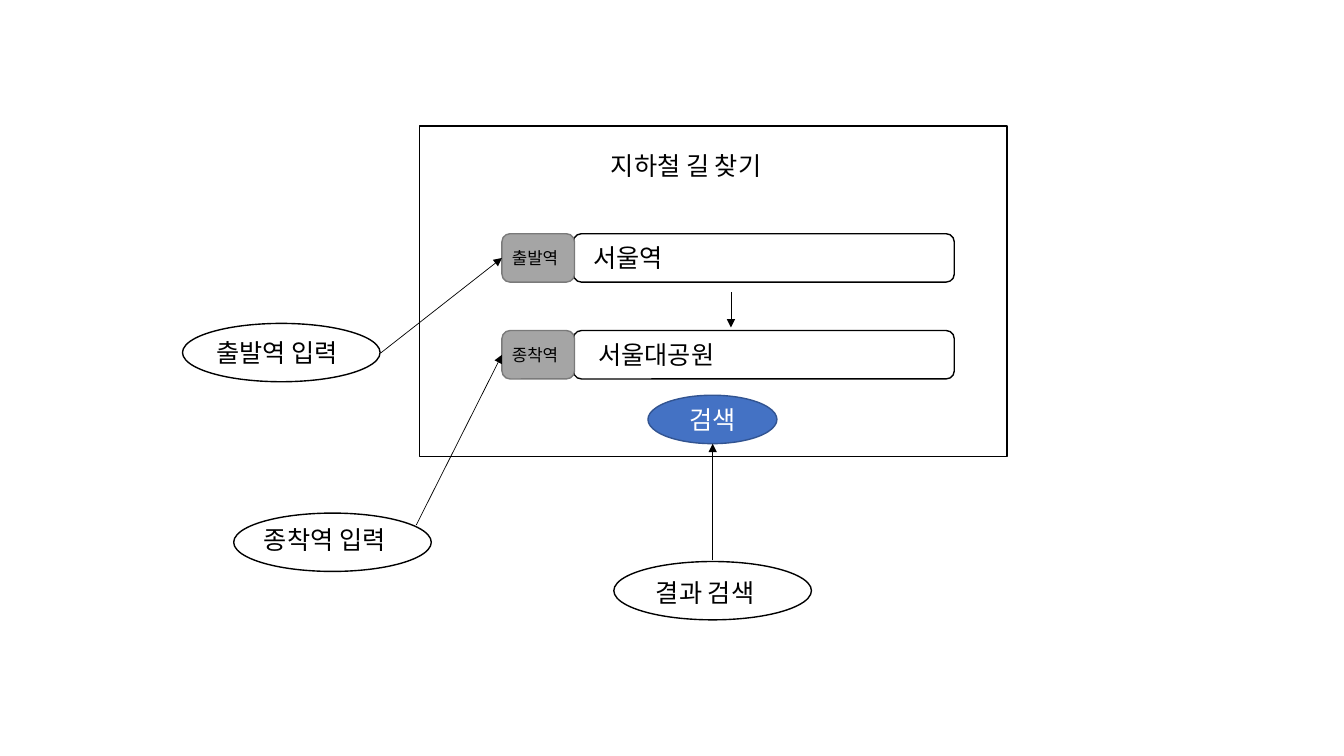
from pptx import Presentation
from pptx.dml.color import RGBColor
from pptx.enum.shapes import MSO_CONNECTOR as Link, MSO_SHAPE as Kind
from pptx.enum.text import MSO_ANCHOR as Anchor, PP_ALIGN as Align
from pptx.oxml.ns import qn
from pptx.util import Cm, Pt
from lxml.etree import SubElement

FONT = "Noto Sans CJK KR"
BLACK = RGBColor(0x00, 0x00, 0x00)
WHITE = RGBColor(0xFF, 0xFF, 0xFF)
GRAY = RGBColor(0xA5, 0xA5, 0xA5)
EDGE = RGBColor(0x7A, 0x7A, 0x7A)
BLUE = RGBColor(0x44, 0x72, 0xC4)
NAVY = RGBColor(0x32, 0x54, 0x91)


def place(item, box):
    """Move and size an item, in centimetres."""
    item.left, item.top, item.width, item.height = map(Cm, box)


def write(frame, text, size=18, color=BLACK, align=Align.LEFT, anchor=Anchor.TOP):
    """Put one styled line of text in a frame."""
    frame.text = text
    frame.word_wrap = True
    frame.vertical_anchor = anchor
    para = frame.paragraphs[0]
    para.alignment = align
    font = para.font
    font.name, font.size = FONT, Pt(size)
    font.color.rgb = color
    SubElement(para._p.pPr.find(qn("a:defRPr")), qn("a:ea"), typeface=FONT)


def label(slide, text, box, size=18):
    """Add a text box."""
    item = slide.shapes.add_textbox(*map(Cm, box))
    write(item.text_frame, text, size)


def shape(slide, kind, box, fill=None, line=BLACK):
    """Add a preset shape with a thin outline."""
    item = slide.shapes.add_shape(kind, *map(Cm, box))
    item.shadow.inherit = False
    if fill is None:
        item.fill.background()
    else:
        item.fill.solid()
        item.fill.fore_color.rgb = fill
    item.line.color.rgb = line
    item.line.width = Pt(1)
    return item


def arrow(slide, start, end):
    """Add a thin line with an arrowhead at its end."""
    item = slide.shapes.add_connector(Link.STRAIGHT, *map(Cm, start + end))
    item.line.color.rgb = BLACK
    item.line.width = Pt(0.5)
    SubElement(item.line._get_or_add_ln(), qn("a:tailEnd"), type="triangle")
    SubElement(item._element.spPr, qn("a:effectLst"))


def field(slide, top, name, value, left):
    """Add an input field with its gray name tag."""
    shape(slide, Kind.ROUNDED_RECTANGLE, (14.45, top, 9.6, 1.22), WHITE)
    shape(slide, Kind.ROUNDED_RECTANGLE, (12.65, top, 1.83, 1.22), GRAY, EDGE)
    label(slide, name, (12.65, top + 0.24, 2.01, 0.76), 12)
    label(slide, value, (left, top + 0.1, 3.71, 1.02))


def note(slide, text, left, top, shift, drop, start, end):
    """Add an oval note and the arrow to what it explains."""
    shape(slide, Kind.OVAL, (left, top, 4.98, 1.47))
    label(slide, text, (left + shift, top + drop, 3.94, 1.02))
    arrow(slide, start, end)


def main():
    """Build the subway route search slide."""
    deck = Presentation()
    deck.slide_width, deck.slide_height = Cm(33.87), Cm(19.05)
    slide = deck.slides.add_slide(deck.slide_layouts[5])

    title = slide.shapes.title
    place(title, (15.14, 3.66, 4.83, 1.02))
    write(title.text_frame, "지하철 길 찾기")

    field(slide, 5.89, "출발역", "서울역", 14.71)
    field(slide, 8.33, "종착역", "서울대공원", 14.83)
    shape(slide, Kind.FLOWCHART_PROCESS, (10.57, 3.18, 14.81, 8.33))
    arrow(slide, (18.42, 7.37), (18.42, 8.25))

    button = shape(slide, Kind.OVAL, (16.33, 9.96, 3.25, 1.22), BLUE, NAVY)
    write(button.text_frame, "검색", 18, WHITE, Align.CENTER, Anchor.MIDDLE)

    for args in (
        ("출발역 입력", 4.6, 8.15, 0.61, 0.23, (9.6, 8.89), (12.65, 6.5)),
        ("종착역 입력", 5.89, 12.93, 0.51, 0.15, (10.49, 13.23), (12.65, 8.94)),
        ("결과 검색", 15.47, 14.15, 0.81, 0.28, (17.96, 14.12), (17.96, 11.18)),
    ):
        note(slide, *args)

    deck.save("out.pptx")


main()
